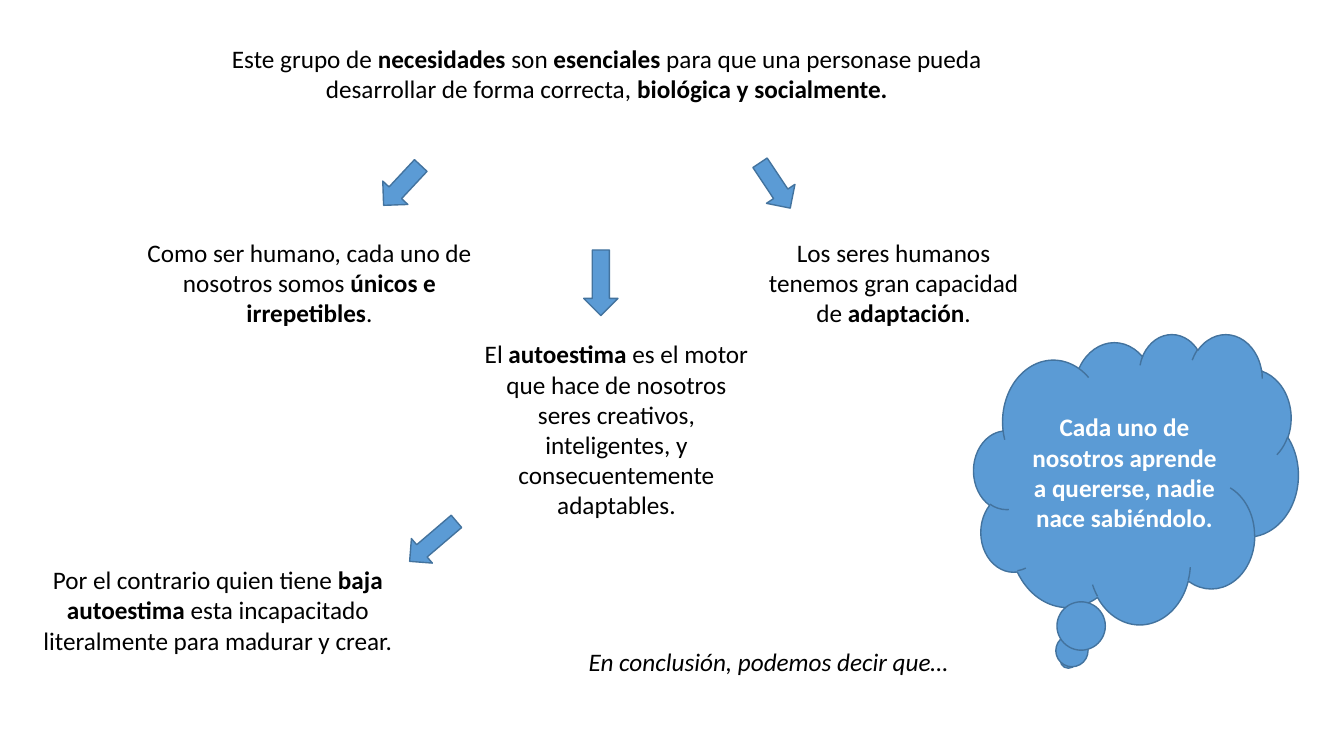
import pptx
import pptx.dml.color
import pptx.enum.shapes
import pptx.enum.text
import pptx.util

WIDTH = pptx.util.Inches(13.333)
HEIGHT = pptx.util.Inches(7.5)
COLORS = {"ink": "000000", "blue": "5B9BD5", "edge": "43739E", "white": "FFFFFF"}
SHAPE = pptx.enum.shapes.MSO_SHAPE
ALIGN = pptx.enum.text.PP_ALIGN


def color(name):
    return pptx.dml.color.RGBColor.from_string(COLORS[name])


def place(left, top, width, height):
    """Turn percentages of the slide into lengths."""
    shares = ((left, WIDTH), (top, HEIGHT), (width, WIDTH), (height, HEIGHT))
    return [round(share * size / 100) for share, size in shares]


def write(frame, text, ink="ink", align=ALIGN.CENTER, italic=False):
    """Fill a frame; parts between asterisks are bold."""
    frame.word_wrap = True
    para = frame.paragraphs[0]
    para.alignment = align
    for index, part in enumerate(text.split("*")):
        if not part:
            continue
        run = para.add_run()
        run.text = part
        run.font.name = "Calibri"
        run.font.size = pptx.util.Pt(18)
        run.font.bold = index % 2 == 1
        run.font.italic = italic
        run.font.color.rgb = color(ink)
    return para


def add_text(slide, box, text, **style):
    frame = slide.shapes.add_textbox(*place(*box)).text_frame
    frame.auto_size = pptx.enum.text.MSO_AUTO_SIZE.SHAPE_TO_FIT_TEXT
    return write(frame, text, **style)


def add_form(slide, kind, box, turn=0):
    form = slide.shapes.add_shape(kind, *place(*box))
    form.rotation = turn
    form.shadow.inherit = False
    form.fill.solid()
    form.fill.fore_color.rgb = color("blue")
    form.line.color.rgb = color("edge")
    form.line.width = pptx.util.Pt(1)
    return form


def main():
    deck = pptx.Presentation()
    deck.slide_width, deck.slide_height = WIDTH, HEIGHT
    slide = deck.slides.add_slide(deck.slide_layouts[6])

    intro = add_text(
        slide, (11.7, 5.07, 63.15, 25.6),
        "Este grupo de *necesidades* son *esenciales* para que una personase pueda "
        "desarrollar de forma correcta, *biológica y socialmente.*")
    intro.level = 1

    ideas = [
        (SHAPE.DOWN_ARROW, (28.65, 20.93, 2.55, 7.2), 43,
         (9.75, 30.67, 26.55, 13.47),
         "Como ser humano, cada uno de nosotros somos *únicos e irrepetibles*."),
        (SHAPE.DOWN_ARROW, (56.4, 20.93, 2.55, 7.2), 326.3,
         (55.5, 30.67, 21.98, 17.47),
         "Los seres humanos tenemos gran capacidad de *adaptación*."),
        (SHAPE.DOWN_ARROW, (43.43, 33.07, 2.55, 8.67), 0,
         (35.1, 44.13, 21.53, 29.6),
         "El *autoestima *es el motor que hace de nosotros seres creativos, "
         "inteligentes, y consecuentemente adaptables."),
        (SHAPE.RIGHT_ARROW, (29.93, 69.47, 4.58, 4.27), 139.5,
         (2.48, 74, 27.45, 21.6),
         "Por el contrario quien tiene *baja autoestima *esta incapacitado "
         "literalmente para madurar y crear."),
    ]
    for kind, spot, turn, box, text in ideas:
        add_form(slide, kind, spot, turn)
        add_text(slide, box, text)

    cloud = add_form(slide, SHAPE.CLOUD_CALLOUT, (72.45, 44.13, 24.15, 38.4))
    cloud.text_frame.vertical_anchor = pptx.enum.text.MSO_ANCHOR.MIDDLE
    write(cloud.text_frame,
          "*Cada uno de nosotros aprende a quererse, nadie nace sabiéndolo.*",
          ink="white")

    add_text(slide, (43.05, 84.8, 40.28, 5.33),
             "En conclusión, podemos decir que…", align=ALIGN.LEFT, italic=True)
    deck.save("out.pptx")


if __name__ == "__main__":
    main()
